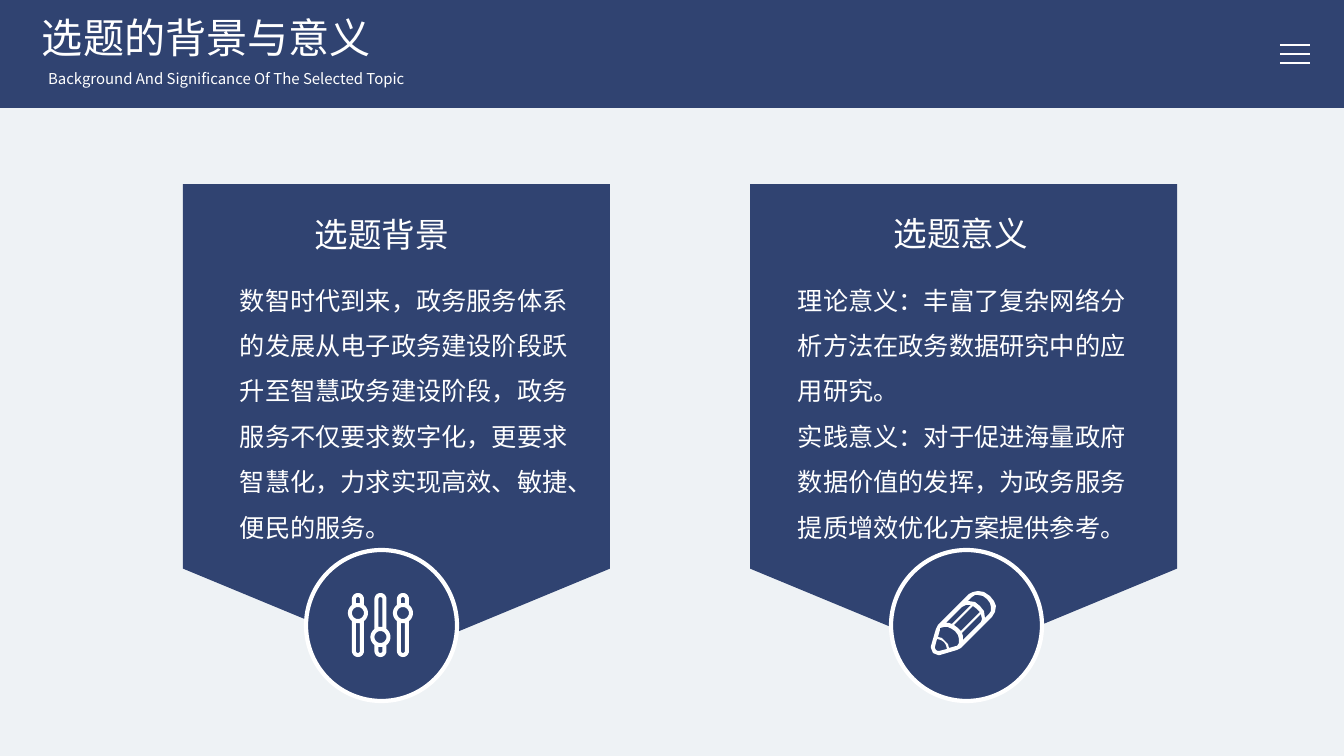
"""Build the slide on the background and significance of the selected topic."""
import math

import pptx
import pptx.dml.color
import pptx.enum.shapes
import pptx.enum.text
import pptx.oxml.ns
import pptx.util
from lxml import etree

PX = 914400 / 100.8
FONT = "Noto Sans CJK SC"
COLORS = {
    name: pptx.dml.color.RGBColor.from_string(value)
    for name, value in {"navy": "304371", "white": "FFFFFF", "page": "EEF2F5"}.items()
}
SHAPE = pptx.enum.shapes.MSO_SHAPE
ALIGN = pptx.enum.text.PP_ALIGN


def add_text(box, paragraphs, size, align=ALIGN.LEFT, spacing=1.0, wrap=True):
    frame = slide.shapes.add_textbox(*[round(v * PX) for v in box]).text_frame
    frame.word_wrap = wrap
    frame.auto_size = pptx.enum.text.MSO_AUTO_SIZE.SHAPE_TO_FIT_TEXT
    for index, words in enumerate(paragraphs):
        paragraph = frame.add_paragraph() if index else frame.paragraphs[0]
        paragraph.alignment = align
        paragraph.line_spacing = spacing
        run = paragraph.add_run()
        run.text = words
        run.font.size = pptx.util.Pt(size)
        run.font.color.rgb = COLORS["white"]
        run.font.name = FONT
        east_asian = etree.SubElement(run._r.get_or_add_rPr(), pptx.oxml.ns.qn("a:ea"))
        east_asian.set("typeface", FONT)


def arc(x, y, radius, start, end):
    angles = [math.radians(start + (end - start) * step / 24) for step in range(25)]
    return [(x + radius * math.cos(a), y + radius * math.sin(a)) for a in angles]


presentation = pptx.Presentation()
presentation.slide_width = round(1344 * PX)
presentation.slide_height = round(756 * PX)
slide = presentation.slides.add_slide(presentation.slide_layouts[6])
slide.background.fill.solid()
slide.background.fill.fore_color.rgb = COLORS["page"]

panels = [
    (160, 306, (266, 209), 230, "选题背景", [
        "数智时代到来，政务服务体系的发展从电子政务建设阶段跃升至智慧政务建设阶段，"
        "政务服务不仅要求数字化，更要求智慧化，力求实现高效、敏捷、便民的服务。",
    ]),
    (727, 891, (845, 208), 788, "选题意义", [
        "理论意义：丰富了复杂网络分析方法在政务数据研究中的应用研究。",
        "实践意义：对于促进海量政府数据价值的发挥，为政务服务提质增效优化方案提供参考。",
    ]),
]
for banner_left, badge_left, heading_at, body_left, heading, body in panels:
    for kind, box in [
        (SHAPE.PENTAGON, (banner_left, 207, 473, 427)),
        (SHAPE.OVAL, (badge_left, 550, 151, 151)),
    ]:
        part = slide.shapes.add_shape(kind, *[round(v * PX) for v in box])
        part.shadow.inherit = False
        part.fill.solid()
        part.fill.fore_color.rgb = COLORS["navy"]
        if kind == SHAPE.PENTAGON:
            part.rotation = 90
            part.adjustments[0] = 0.207
            part.line.fill.background()
        else:
            part.line.color.rgb = COLORS["white"]
            part.line.width = pptx.util.Pt(3)
    add_text((*heading_at, 232, 50), [heading], 24, ALIGN.CENTER)
    add_text((body_left, 265, 362, 285), body, 18, spacing=1.5)

icons = []
for index, knob in enumerate([613, 637, 613]):
    x = 358 + index * 45 / 2
    icons.append([
        arc(x, 599, 6, 180, 360) + arc(x, knob, 10, -53, 53)
        + arc(x, 651, 6, 0, 180) + arc(x, knob, 10, 127, 233),
        arc(x, knob, 6, 0, 360),
        arc(x, 599, 2, 180, 360) + [(x + 2, knob - 10), (x - 2, knob - 10)],
        arc(x, 651, 2, 0, 180) + [(x - 2, knob + 10), (x + 2, knob + 10)],
    ])

pencil = {
    "outline": [(59, 5), (53, 1), (47, 0), (42, 1), (38, 3), (7, 34), (5, 38), (0, 55), (0, 57),
                (2, 62), (7, 64), (9, 64), (26, 59), (30, 57), (61, 26), (64, 21), (65, 15), (63, 10)],
    "eraser": [(58, 23), (54, 27), (53, 20), (49, 15), (44, 11), (37, 10), (41, 6), (44, 4),
               (47, 4), (52, 5), (56, 8), (59, 12), (60, 16), (60, 20)],
    "wood": [(18, 57), (17, 53), (14, 50), (11, 47), (7, 46), (9, 39), (9, 37), (13, 36), (17, 36),
             (21, 38), (24, 40), (27, 44), (28, 48), (28, 52), (26, 55), (25, 55)],
    "tip": [(8, 60), (7, 60), (5, 59), (4, 57), (4, 56), (6, 48), (10, 49), (13, 51), (15, 54), (16, 58)],
    "upper side": [(21, 33), (18, 32), (15, 32), (31, 16), (35, 14), (40, 14)],
    "middle side": [(30, 40), (27, 37), (23, 34), (42, 15), (46, 18), (49, 21)],
    "lower side": [(32, 48), (32, 45), (31, 42), (50, 23), (51, 28), (50, 31), (48, 33), (32, 49)],
}
icons.append([[(931 + x, 591 + y) for x, y in contour] for contour in pencil.values()])

for contours in icons:
    builder = None
    for contour in contours:
        points = [(round(x * PX), round(y * PX)) for x, y in contour]
        if builder is None:
            builder = slide.shapes.build_freeform(*points[0])
        else:
            builder.move_to(*points[0])
        builder.add_line_segments(points[1:], close=True)
    icon = builder.convert_to_shape()
    icon.shadow.inherit = False
    icon.fill.solid()
    icon.fill.fore_color.rgb = COLORS["white"]
    icon.line.fill.background()

header = slide.shapes.add_shape(SHAPE.RECTANGLE, 0, 0, presentation.slide_width, round(108 * PX))
header.shadow.inherit = False
header.fill.solid()
header.fill.fore_color.rgb = COLORS["navy"]
header.line.fill.background()
add_text((32, 7, 350, 59), ["选题的背景与意义"], 29.4, wrap=False)
add_text((33, 65, 387, 28), ["Background And Significance Of The Selected Topic"], 10.7, ALIGN.CENTER, wrap=False)

for row in range(3):
    y = round((45 + 9 * row) * PX)
    menu_bar = slide.shapes.add_connector(
        pptx.enum.shapes.MSO_CONNECTOR.STRAIGHT, round(1280 * PX), y, round(1310 * PX), y)
    menu_bar.line.color.rgb = COLORS["white"]
    menu_bar.line.width = pptx.util.Pt(1.5)
    etree.SubElement(menu_bar._element.spPr, pptx.oxml.ns.qn("a:effectLst"))

presentation.save("out.pptx")
